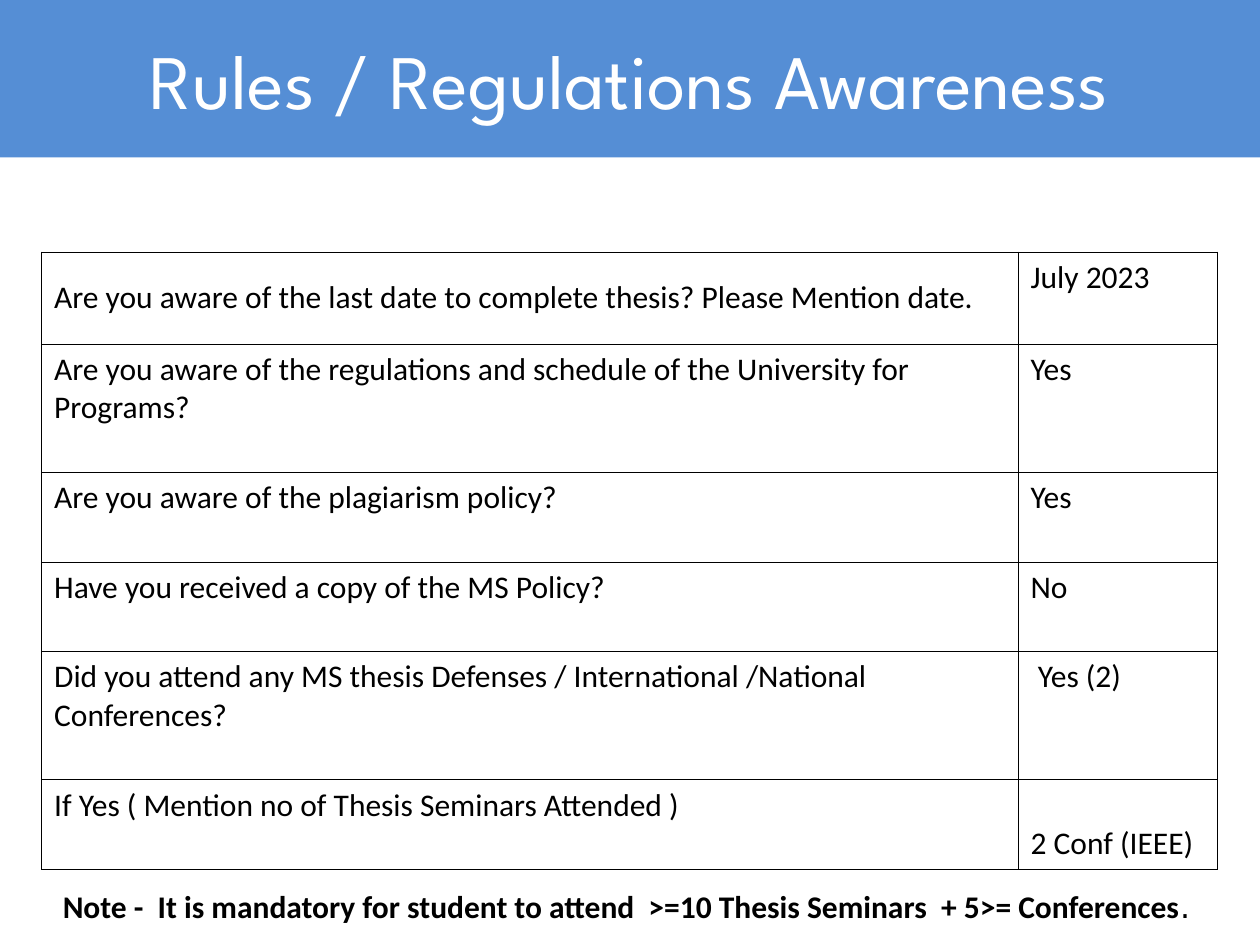
from dataclasses import dataclass

from lxml import etree
from pptx import Presentation, slide as s
from pptx.dml.color import RGBColor
from pptx.enum import text
from pptx.oxml import ns
from pptx.util import Inches, Pt

BLUE = RGBColor(0x55, 0x8E, 0xD5)
WHITE = RGBColor(0xFF, 0xFF, 0xFF)
BLACK = RGBColor(0x00, 0x00, 0x00)

TOP, MIDDLE, BOTTOM = (
    text.MSO_ANCHOR.TOP, text.MSO_ANCHOR.MIDDLE, text.MSO_ANCHOR.BOTTOM)

# question, answer, row height, question anchor, answer anchor
CHECKLIST = [
    ("Are you aware of the last date to complete thesis? Please Mention date.",
     "July 2023", 0.73, MIDDLE, TOP),
    ("Are you aware of the regulations and schedule of the University for Programs?",
     "Yes", 1.02, TOP, TOP),
    ("Are you aware of the plagiarism policy?", "Yes", 0.71, TOP, TOP),
    ("Have you received a copy of the MS Policy?", "No", 0.71, TOP, TOP),
    ("Did you attend any MS thesis Defenses / International /National Conferences?",
     " Yes (2)", 1.02, TOP, TOP),
    ("If Yes ( Mention no of Thesis Seminars Attended )",
     "2 Conf (IEEE)", 0.71, TOP, BOTTOM),
]


@dataclass
class SlideBuilder:
    slide: s.Slide
    heading_font: str = "League Spartan"
    body_font: str = "Calibri"
    body_size: float = 18
    border_width: float = 0.45

    def add_run(self, paragraph, wording, font=None, size=None, color=BLACK, bold=False):
        run = paragraph.add_run()
        run.text = wording
        run.font.name = font or self.body_font
        run.font.size = Pt(size or self.body_size)
        run.font.color.rgb = color
        run.font.bold = bold

    def title(self, wording):
        banner = self.slide.shapes.title
        banner.left, banner.top = Inches(0), Inches(0)
        banner.width, banner.height = Inches(10), Inches(1.25)
        banner.fill.solid()
        banner.fill.fore_color.rgb = BLUE
        banner.text_frame.vertical_anchor = MIDDLE
        heading = banner.text_frame.paragraphs[0]
        heading.alignment = text.PP_ALIGN.CENTER
        self.add_run(heading, wording, self.heading_font, 44, WHITE)

    def border(self, cell):
        properties = cell._tc.get_or_add_tcPr()
        for position, side in enumerate(("lnL", "lnR", "lnT", "lnB")):
            line = etree.Element(ns.qn(f"a:{side}"), w=str(Pt(self.border_width)))
            fill = etree.SubElement(line, ns.qn("a:solidFill"))
            etree.SubElement(fill, ns.qn("a:srgbClr"), val=str(BLACK))
            properties.insert(position, line)

    def cell(self, cell, wording, anchor):
        cell.fill.background()
        cell.vertical_anchor = anchor
        self.border(cell)
        self.add_run(cell.text_frame.paragraphs[0], wording)

    def checklist(self, entries, left, top, widths):
        height = sum(entry[2] for entry in entries)
        frame = self.slide.shapes.add_table(
            len(entries), len(widths), Inches(left), Inches(top),
            Inches(sum(widths)), Inches(height))
        table = frame.table
        table.first_row = table.horz_banding = False
        for column, width in zip(table.columns, widths):
            column.width = Inches(width)
        for row, entry in zip(table.rows, entries):
            question, answer, row_height, question_anchor, answer_anchor = entry
            row.height = Inches(row_height)
            self.cell(row.cells[0], question, question_anchor)
            self.cell(row.cells[1], answer, answer_anchor)

    def note(self, wording, left, top, width, height):
        box = self.slide.shapes.add_textbox(
            Inches(left), Inches(top), Inches(width), Inches(height))
        box.text_frame.word_wrap = False
        box.text_frame.auto_size = text.MSO_AUTO_SIZE.SHAPE_TO_FIT_TEXT
        remark = box.text_frame.paragraphs[0]
        self.add_run(remark, wording, bold=True)
        self.add_run(remark, ".", font="DejaVu Sans")


def main():
    deck = Presentation()
    deck.slide_width, deck.slide_height = Inches(10), Inches(7.5)
    builder = SlideBuilder(deck.slides.add_slide(deck.slide_layouts[5]))
    builder.title("Rules / Regulations Awareness")
    builder.checklist(CHECKLIST, 0.33, 2, (7.75, 1.58))
    builder.note(
        "Note -  It is mandatory for student to attend  >=10 Thesis Seminars  + 5>= Conferences",
        0.4, 6.99, 9.23, 0.4)
    deck.save("out.pptx")


if __name__ == "__main__":
    main()
